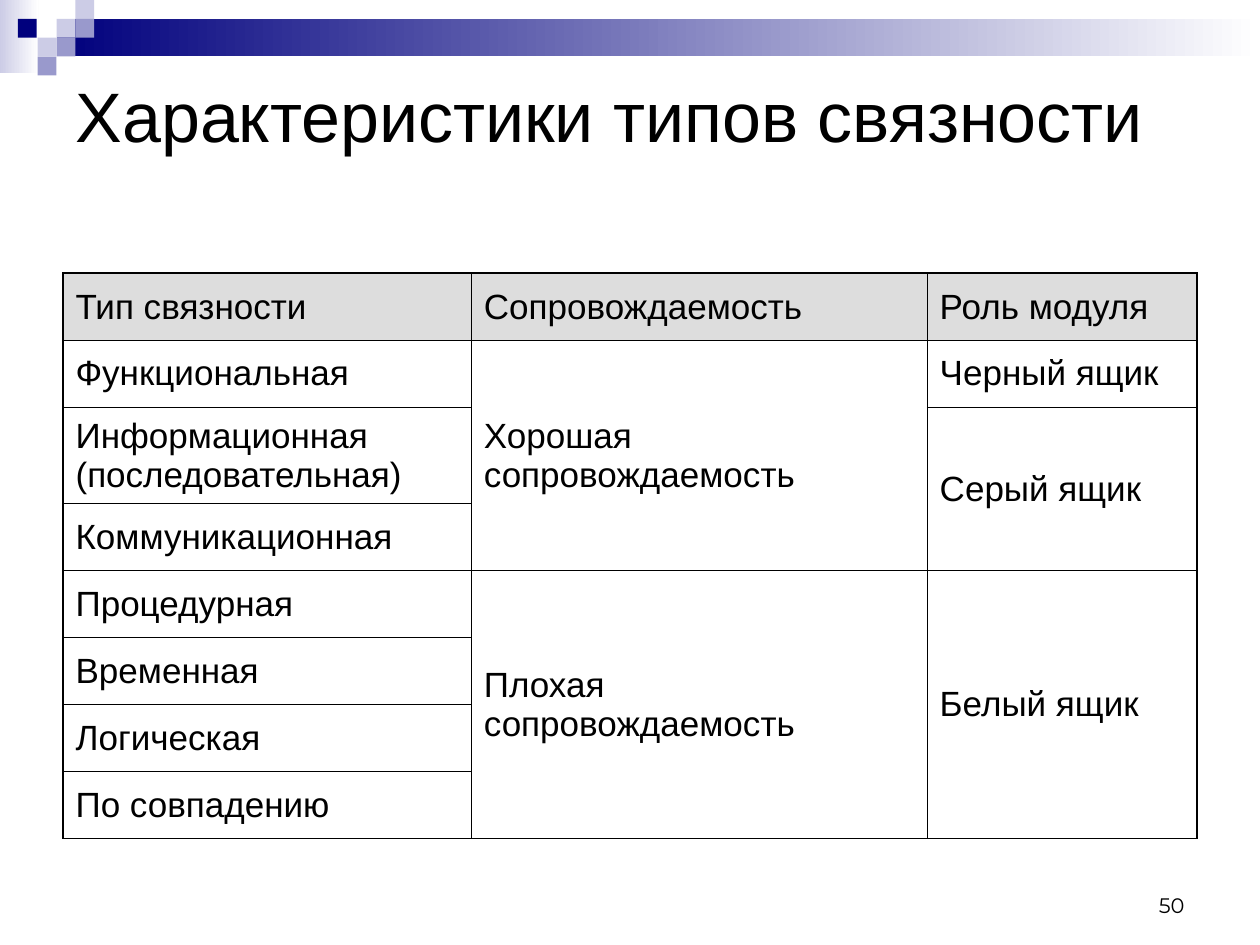
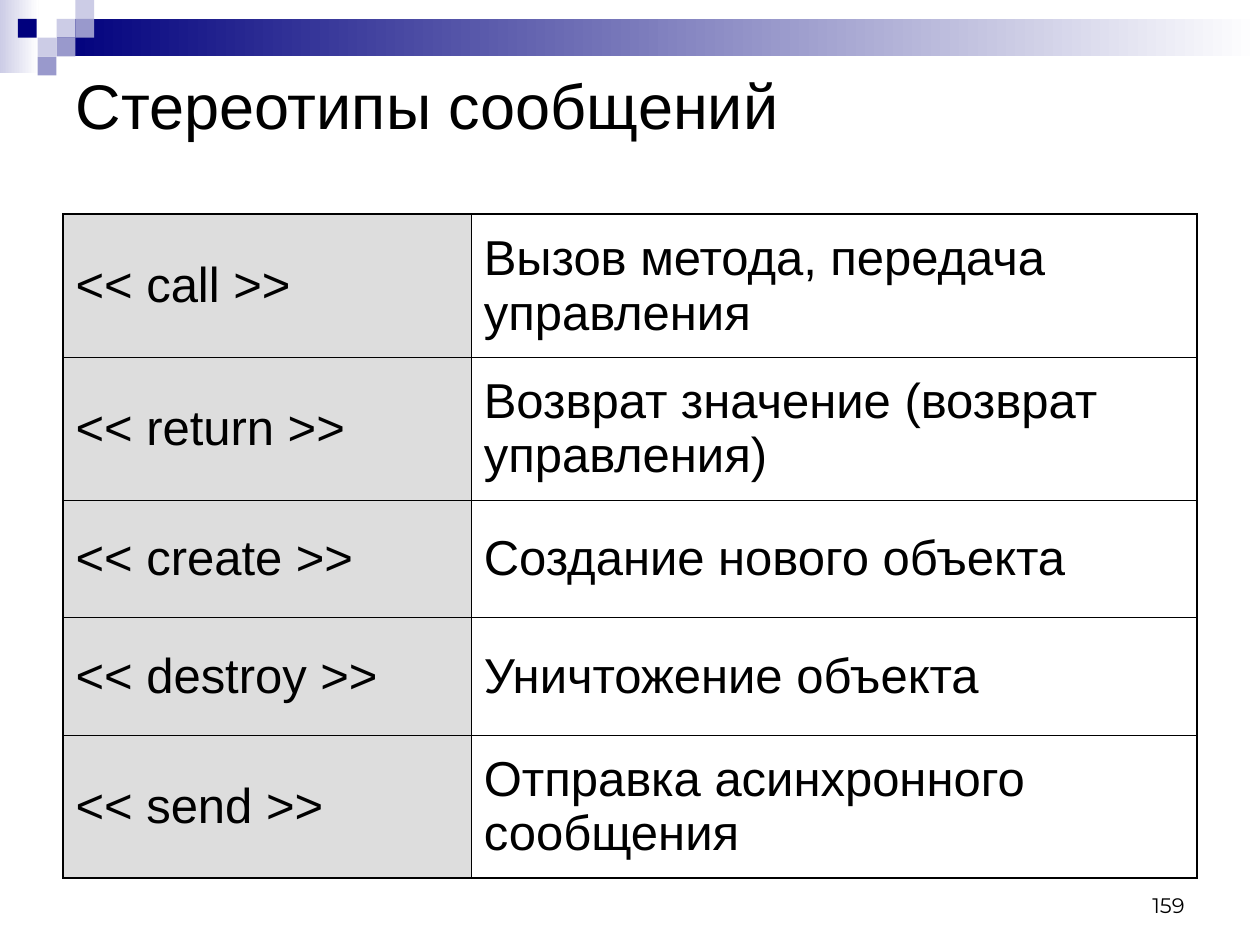
"""Builds two slides with tables on module cohesion and message stereotypes."""
from lxml import etree
from pptx import Presentation
from pptx.dml.color import RGBColor
from pptx.enum.shapes import MSO_SHAPE
from pptx.enum.text import MSO_ANCHOR, MSO_AUTO_SIZE, PP_ALIGN
from pptx.oxml.ns import qn
from pptx.util import Cm, Pt

RECTANGLE = MSO_SHAPE.RECTANGLE
MIDDLE, BOTTOM = MSO_ANCHOR.MIDDLE, MSO_ANCHOR.BOTTOM
LEFT, RIGHT = PP_ALIGN.LEFT, PP_ALIGN.RIGHT
NO_AUTOFIT = MSO_AUTO_SIZE.NONE

COLORS = {
    "navy": "00007D",
    "violet": "9999CC",
    "lavender": "CCCCE6",
    "white": "FFFFFF",
    "text": "000000",
    "heading": "DDDDDD",
}
MARGIN, CONTENT_WIDTH = 1.27, 22.86
SQUARE = 0.38
OUTER_LINE, INNER_LINE = 1.08, 0.45

gradient_bars = [
    (0, 0, 0.78, 1.47, "lavender"),
    (1.14, 0.38, 24.26, 0.76, "navy"),
]
mosaic_squares = [
    (3, 1, "lavender"),
    (4, 0, "lavender"),
    (4, 1, "violet"),
    (2, 2, "lavender"),
    (0.95, 1, "navy"),
    (3, 2, "violet"),
    (2, 3, "violet"),
]
pages = [
    {
        "title": "Характеристики типов связности",
        "title_size": 40,
        "title_height": 2.06,
        "number": "50",
        "table_top": 5.51,
        "text_size": 20,
        "columns": [8.23, 9.19, 5.44],
        "row_heights": [1.35, 1.35, 1.94] + [1.35] * 5,
        "shaded": [(0, 0), (0, 1), (0, 2)],
        "merges": [(1, 1, 3), (2, 2, 3), (4, 1, 7), (4, 2, 7)],
        "rows": [
            ["Тип связности", "Сопровождаемость", "Роль модуля"],
            ["Функциональная", "Хорошая сопровождаемость", "Черный ящик"],
            ["Информационная (последовательная)", "", "Серый ящик"],
            ["Коммуникационная", "", ""],
            ["Процедурная", "Плохая сопровождаемость", "Белый ящик"],
            ["Временная", "", ""],
            ["Логическая", "", ""],
            ["По совпадению", "", ""],
        ],
    },
    {
        "title": "Стереотипы сообщений",
        "title_size": 36,
        "title_height": 1.65,
        "number": "159",
        "table_top": 4.32,
        "text_size": 28,
        "columns": [8.23, 14.63],
        "row_heights": [2.88, 2.88, 2.37, 2.37, 2.88],
        "shaded": [(row, 0) for row in range(5)],
        "merges": [],
        "rows": [
            ["<< call >>", "Вызов метода, передача управления"],
            ["<< return >>", "Возврат значение (возврат управления)"],
            ["<< create >>", "Создание нового объекта"],
            ["<< destroy >>", "Уничтожение объекта"],
            ["<< send >>", "Отправка асинхронного сообщения"],
        ],
    },
]


def write_text(frame, text, size, font="Arial", align=LEFT, anchor=MIDDLE):
    frame.word_wrap = True
    frame.vertical_anchor = anchor
    para = frame.paragraphs[0]
    para.alignment = align
    span = para.add_run()
    span.text = text
    span.font.size = Pt(size)
    span.font.name = font
    span.font.color.rgb = RGBColor.from_string(COLORS["text"])


def add_block(page, left, top, width, height):
    block = page.shapes.add_shape(RECTANGLE, Cm(left), Cm(top), Cm(width), Cm(height))
    block.shadow.inherit = False
    block.line.fill.background()
    return block


deck = Presentation()
deck.slide_width, deck.slide_height = Cm(25.4), Cm(19.05)

for content in pages:
    page = deck.slides.add_slide(deck.slide_layouts[5])

    for left, top, width, height, color in gradient_bars:
        bar = add_block(page, left, top, width, height)
        bar.fill.gradient()
        bar.fill.gradient_angle = 0
        for stop, name in zip(bar.fill.gradient_stops, (color, "white")):
            stop.color.rgb = RGBColor.from_string(COLORS[name])
    for column, row, color in mosaic_squares:
        square = add_block(page, column * SQUARE, row * SQUARE, SQUARE, SQUARE)
        square.fill.solid()
        square.fill.fore_color.rgb = RGBColor.from_string(COLORS[color])

    title = page.shapes.title
    title.left, title.top = Cm(MARGIN), Cm(MARGIN)
    title.width, title.height = Cm(CONTENT_WIDTH), Cm(content["title_height"])
    title.text_frame.auto_size = NO_AUTOFIT
    write_text(title.text_frame, content["title"], content["title_size"])

    rows, columns, heights = content["rows"], content["columns"], content["row_heights"]
    table = page.shapes.add_table(
        len(rows), len(columns), Cm(MARGIN), Cm(content["table_top"]),
        Cm(CONTENT_WIDTH), Cm(sum(heights)),
    ).table
    table.first_row = table.horz_banding = False
    for column, width in zip(table.columns, columns):
        column.width = Cm(width)
    for row, height in zip(table.rows, heights):
        row.height = Cm(height)
    for first_row, column, last_row in content["merges"]:
        table.cell(first_row, column).merge(table.cell(last_row, column))

    for row, texts in enumerate(rows):
        for column, text in enumerate(texts):
            cell = table.cell(row, column)
            cell.vertical_anchor = MIDDLE
            if text:
                write_text(cell.text_frame, text, content["text_size"])
                cell.text_frame.vertical_anchor = None
            if (row, column) in content["shaded"]:
                cell.fill.solid()
                cell.fill.fore_color.rgb = RGBColor.from_string(COLORS["heading"])
            else:
                cell.fill.background()
            last_row = row + (cell.span_height if cell.is_merge_origin else 1)
            on_outer_edge = {
                "a:lnL": column == 0,
                "a:lnR": column == len(columns) - 1,
                "a:lnT": row == 0,
                "a:lnB": last_row == len(rows),
            }
            properties = cell._tc.get_or_add_tcPr()
            for position, (side, is_outer) in enumerate(on_outer_edge.items()):
                border = etree.Element(qn(side))
                border.set("w", str(Pt(OUTER_LINE if is_outer else INNER_LINE)))
                fill = etree.SubElement(border, qn("a:solidFill"))
                etree.SubElement(fill, qn("a:srgbClr")).set("val", COLORS["text"])
                properties.insert(position, border)

    number_box = page.shapes.add_textbox(Cm(18.21), Cm(17.35), Cm(5.92), Cm(1.27))
    write_text(number_box.text_frame, content["number"], 12,
               font="Montserrat", align=RIGHT, anchor=BOTTOM)

deck.save("out.pptx")
